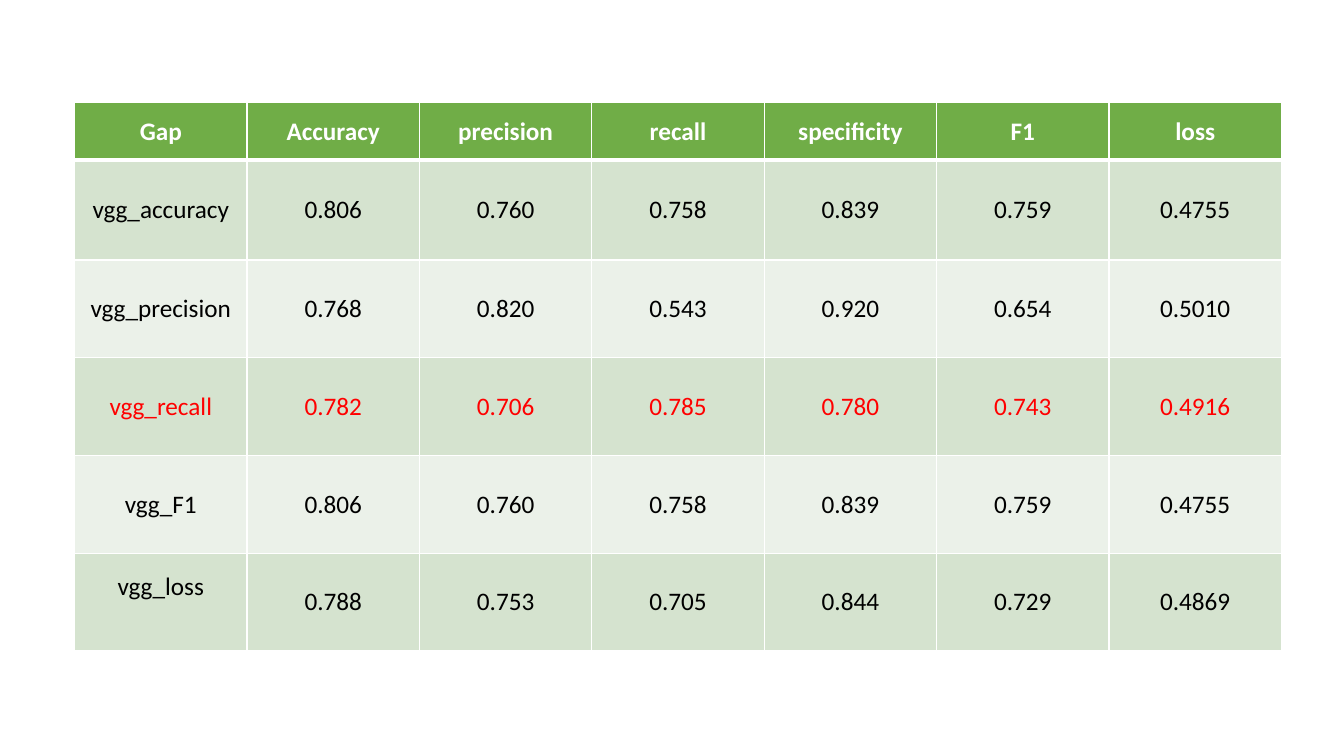
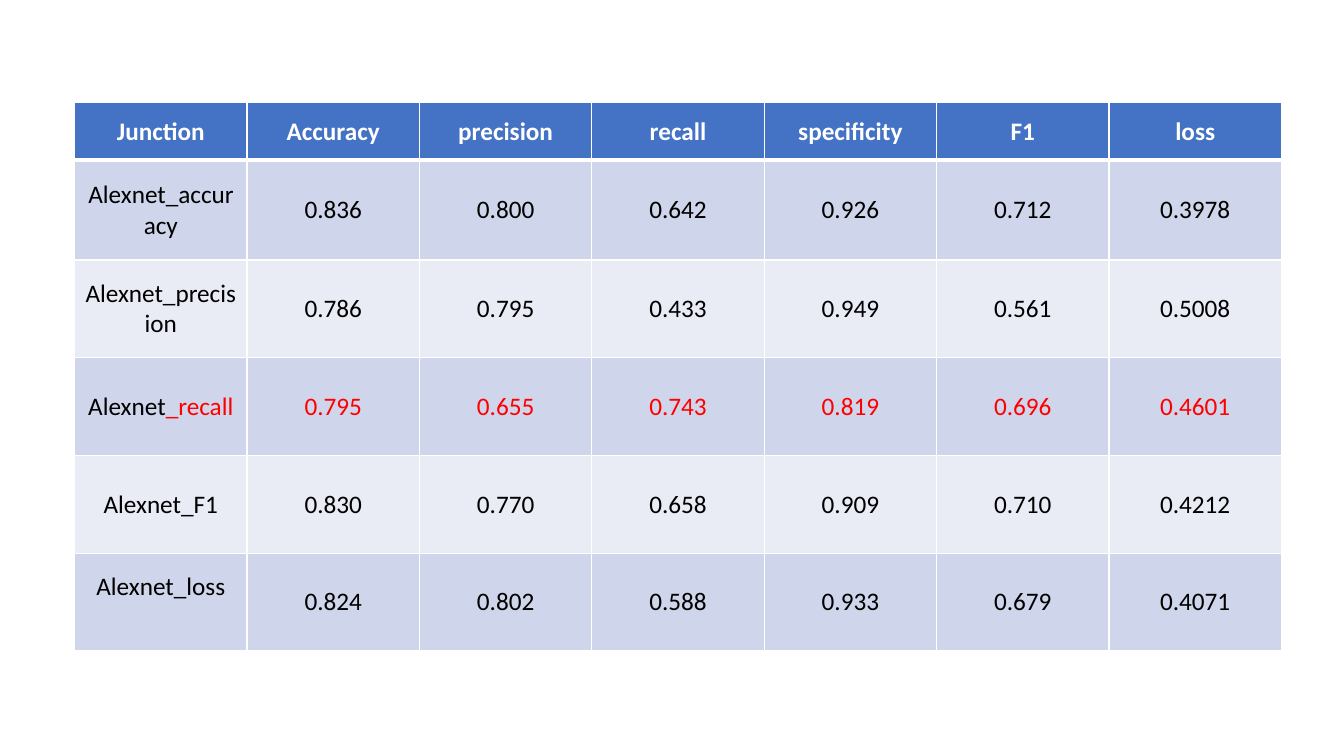
import pptx
import pptx.dml.color
import pptx.enum.text
import pptx.oxml.ns
import pptx.util
from lxml import etree

RGBColor = pptx.dml.color.RGBColor
WHITE = RGBColor(0xFF, 0xFF, 0xFF)
BLACK = RGBColor(0x00, 0x00, 0x00)
RED = RGBColor(0xFF, 0x00, 0x00)

# Header, odd row and even row fills
GREENS = (RGBColor(0x70, 0xAD, 0x47), RGBColor(0xD5, 0xE3, 0xCF), RGBColor(0xEB, 0xF1, 0xE9))
BLUES = (RGBColor(0x44, 0x72, 0xC4), RGBColor(0xCF, 0xD5, 0xEA), RGBColor(0xE9, 0xEB, 0xF5))

FONT = "Calibri"
FONT_SIZE = 18
SLIDE_W, SLIDE_H = 1333, 750
TABLE_LEFT, TABLE_TOP = 74, 102
COL_W = 171
ROW_HEIGHTS = (57, 99, 97, 97, 97, 97)
LAST_LABEL_INSET = 35
THIN, THICK = 1, 3

MEASURES = ("Accuracy", "precision", "recall", "specificity", "F1", "loss")
CRITERIA = ("accuracy", "precision", "recall", "F1", "loss")
HIGHLIGHTED = "recall"

GAP_SCORES = (
    ("0.806", "0.760", "0.758", "0.839", "0.759", "0.4755"),
    ("0.768", "0.820", "0.543", "0.920", "0.654", "0.5010"),
    ("0.782", "0.706", "0.785", "0.780", "0.743", "0.4916"),
    ("0.806", "0.760", "0.758", "0.839", "0.759", "0.4755"),
    ("0.788", "0.753", "0.705", "0.844", "0.729", "0.4869"),
)
JUNCTION_SCORES = (
    ("0.836", "0.800", "0.642", "0.926", "0.712", "0.3978"),
    ("0.786", "0.795", "0.433", "0.949", "0.561", "0.5008"),
    ("0.795", "0.655", "0.743", "0.819", "0.696", "0.4601"),
    ("0.830", "0.770", "0.658", "0.909", "0.710", "0.4212"),
    ("0.824", "0.802", "0.588", "0.933", "0.679", "0.4071"),
)


def px(n):
    """Turn px, 100 to the inch, into EMU."""
    return pptx.util.Emu(n * 9144)


def set_borders(cell, top, bottom):
    """Draw white borders; top and bottom are widths in points."""
    qn = pptx.oxml.ns.qn
    tc_pr = cell._tc.get_or_add_tcPr()
    for side, width in (("L", THIN), ("R", THIN), ("T", top), ("B", bottom)):
        ln = etree.SubElement(tc_pr, qn("a:ln" + side), w=str(pptx.util.Pt(width)))
        fill = etree.SubElement(ln, qn("a:solidFill"))
        etree.SubElement(fill, qn("a:srgbClr"), val=str(WHITE))


def fill_cell(cell, runs, fill, bold=False):
    """Fill a cell; runs holds (text, colour) pairs."""
    cell.fill.solid()
    cell.fill.fore_color.rgb = fill
    cell.vertical_anchor = pptx.enum.text.MSO_ANCHOR.MIDDLE
    p = cell.text_frame.paragraphs[0]
    p.alignment = pptx.enum.text.PP_ALIGN.CENTER
    for text, color in runs:
        r = p.add_run()
        r.text = text
        r.font.name = FONT
        r.font.size = pptx.util.Pt(FONT_SIZE)
        r.font.bold = bold
        r.font.color.rgb = color


def table_rows(title, model, scores, model_highlight):
    """Return the rows of cells, each cell a list of (text, colour) runs."""
    rows = [[[(text, WHITE)] for text in (title, *MEASURES)]]
    for criterion, values in zip(CRITERIA, scores):
        marked = criterion == HIGHLIGHTED
        color = RED if marked else BLACK
        label = [(model, model_highlight if marked else BLACK), ("_" + criterion, color)]
        rows.append([label] + [[(value, color)] for value in values])
    return rows


def add_score_table(slide, rows, fills):
    header_fill, odd_fill, even_fill = fills
    n_cols = len(rows[0])
    table = slide.shapes.add_table(
        len(rows), n_cols, px(TABLE_LEFT), px(TABLE_TOP),
        px(COL_W * n_cols), px(sum(ROW_HEIGHTS))).table
    for col in table.columns:
        col.width = px(COL_W)
    for i, (row, height) in enumerate(zip(rows, ROW_HEIGHTS)):
        table.rows[i].height = px(height)
        header = i == 0
        fill = header_fill if header else odd_fill if i % 2 else even_fill
        for j, runs in enumerate(row):
            cell = table.cell(i, j)
            set_borders(cell, THICK if i == 1 else THIN, THICK if header else THIN)
            fill_cell(cell, runs, fill, bold=header)
    # The last label sits half a line above the middle of its row
    table.cell(len(rows) - 1, 0).margin_bottom = px(LAST_LABEL_INSET)


def main():
    prs = pptx.Presentation()
    prs.slide_width, prs.slide_height = px(SLIDE_W), px(SLIDE_H)
    for title, model, scores, model_highlight, fills in (
        ("Gap", "vgg", GAP_SCORES, RED, GREENS),
        ("Junction", "Alexnet", JUNCTION_SCORES, BLACK, BLUES),
    ):
        slide = prs.slides.add_slide(prs.slide_layouts[6])
        add_score_table(slide, table_rows(title, model, scores, model_highlight), fills)
    prs.save("out.pptx")


if __name__ == "__main__":
    main()
